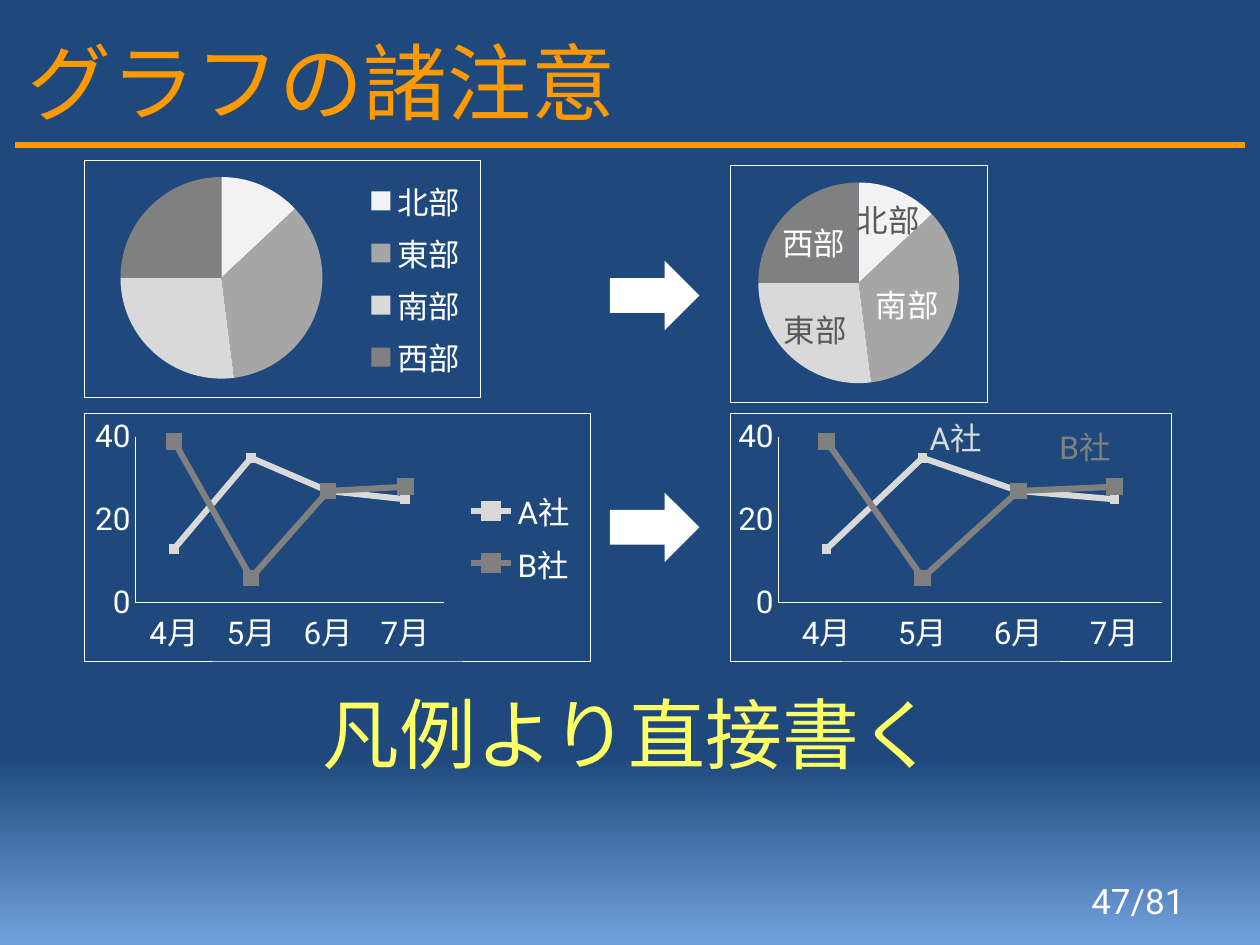
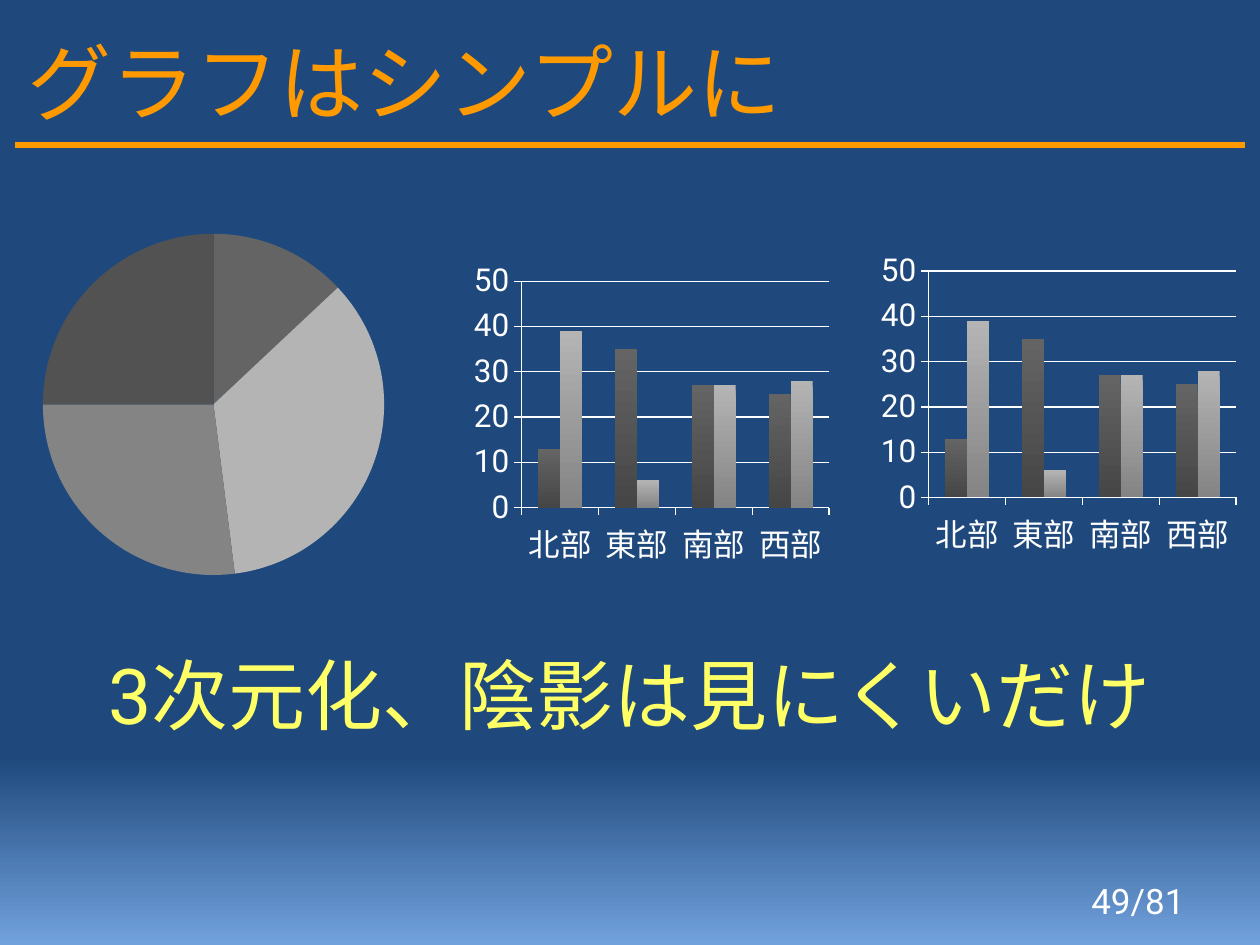
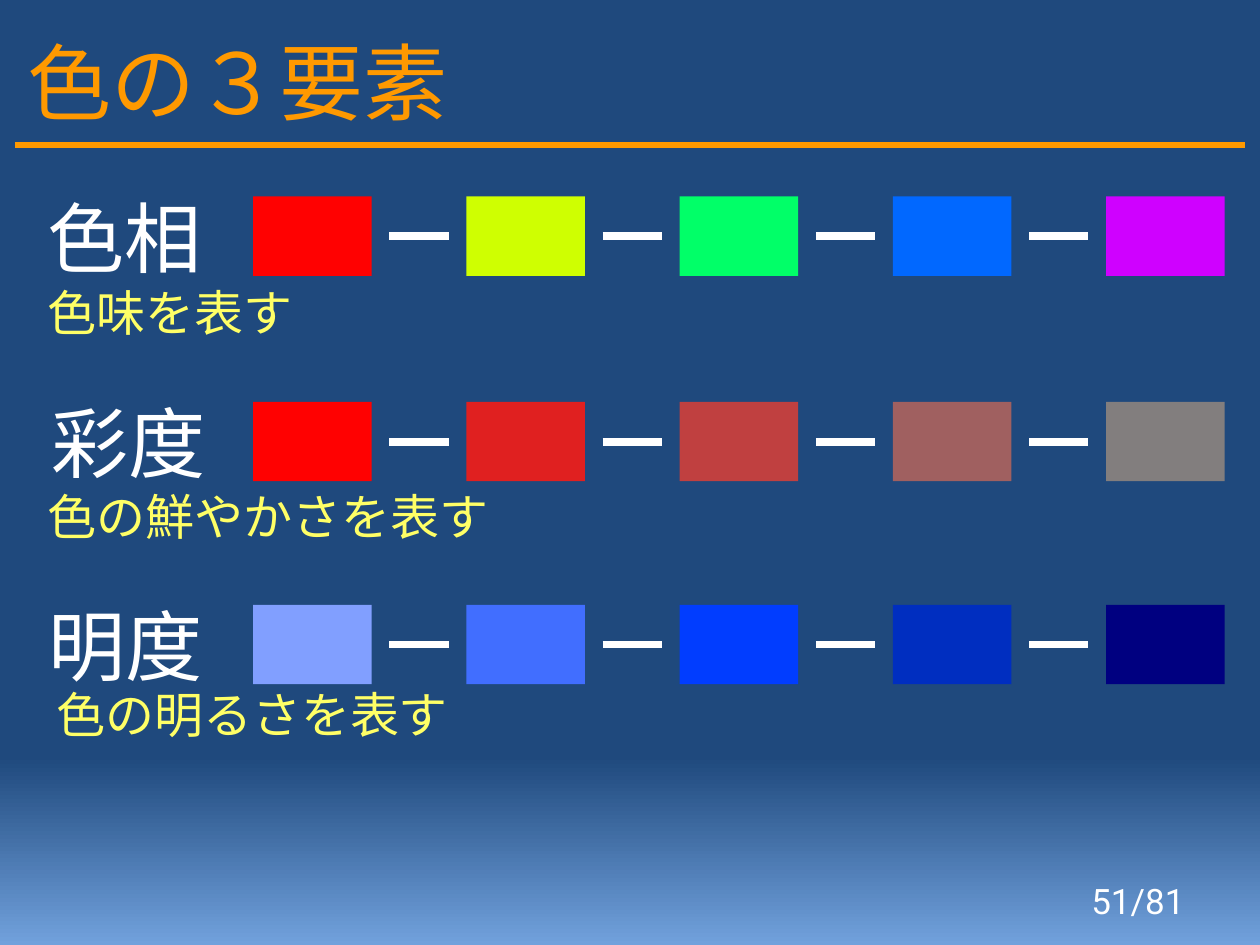
from dataclasses import dataclass
from typing import Optional

from pptx import Presentation
from pptx.chart.chart import Chart
from pptx.chart.data import CategoryChartData
from pptx.dml.color import RGBColor
from pptx.dml.fill import FillFormat
from pptx.enum.chart import XL_CHART_TYPE as ChartType
from pptx.enum.chart import XL_LEGEND_POSITION as LegendPosition
from pptx.enum.chart import XL_MARKER_STYLE as MarkerStyle
from pptx.enum.chart import XL_TICK_MARK as TickMark
from pptx.enum.shapes import MSO_CONNECTOR as Connector
from pptx.enum.shapes import MSO_SHAPE as ShapeType
from pptx.enum.text import MSO_ANCHOR as Anchor
from pptx.enum.text import PP_ALIGN as Align
from pptx.oxml import parse_xml
from pptx.oxml.ns import nsdecls, qn
from pptx.oxml.xmlchemy import OxmlElement
from pptx.slide import Slide
from pptx.util import Inches, Pt

# Shared style
WHITE = RGBColor(0xFF, 0xFF, 0xFF)
ORANGE = RGBColor(0xFF, 0x99, 0x00)
YELLOW = RGBColor(0xFF, 0xFF, 0x66)
NAVY = RGBColor(0x1F, 0x49, 0x7D)
SKY = RGBColor(0x71, 0xA1, 0xDC)
PALE = RGBColor(0xF2, 0xF2, 0xF2)
LIGHT_GREY = RGBColor(0xD9, 0xD9, 0xD9)
MID_GREY = RGBColor(0xA6, 0xA6, 0xA6)
GREY = RGBColor(0x80, 0x80, 0x80)
DARK_GREY = RGBColor(0x59, 0x59, 0x59)
PIE_GREYS = [PALE, MID_GREY, LIGHT_GREY, GREY]
SHADED_PIE_GREYS = [RGBColor(level, level, level) for level in (0x64, 0xB4, 0x84, 0x52)]
COLUMN_GRADIENTS = [
    (RGBColor(0x64, 0x64, 0x64), RGBColor(0x46, 0x46, 0x46)),
    (RGBColor(0xB4, 0xB4, 0xB4), RGBColor(0x84, 0x84, 0x84)),
]
TITLE_FONT = "Calibri"
BODY_FONT = "Roboto"
TOTAL_PAGES = 81
TITLE_ONLY_LAYOUT = 5

# Chart data
REGIONS = ["北部", "東部", "南部", "西部"]
NUMBERS = ["1", "2", "3", "4"]
MONTHS = ["4月", "5月", "6月", "7月"]
FIRST_VALUES = [13, 35, 27, 25]
SECOND_VALUES = [39, 6, 27, 28]


@dataclass
class Box:
    left: float
    top: float
    width: float
    height: float

    def lengths(self) -> list:
        return [Inches(v) for v in (self.left, self.top, self.width, self.height)]


@dataclass
class Label:
    text: str
    box: Box
    size: int
    color: RGBColor
    align: Align = Align.LEFT
    anchor: Anchor = Anchor.TOP


@dataclass
class ChartSpec:
    kind: ChartType
    box: Box
    plot: Box  # fractions of the chart area
    categories: list
    series: dict
    bordered: bool = False
    legend: bool = False


@dataclass
class SwatchRow:
    name: str
    name_left: float
    top: float
    colors: list
    note: str
    note_left: float
    note_top: float


# Basic elements
def add_label(shapes, label: Label) -> None:
    text_frame = shapes.add_textbox(*label.box.lengths()).text_frame
    text_frame.word_wrap = True
    text_frame.vertical_anchor = label.anchor
    text_frame.text = label.text
    paragraph = text_frame.paragraphs[0]
    paragraph.alignment = label.align
    font = paragraph.runs[0].font
    font.name, font.size = BODY_FONT, Pt(label.size)
    font.color.rgb = label.color


def add_shape(shapes, kind: ShapeType, box: Box, color: RGBColor) -> None:
    shape = shapes.add_shape(kind, *box.lengths())
    shape.shadow.inherit = False
    shape.fill.solid()
    shape.fill.fore_color.rgb = color
    shape.line.fill.background()


def add_rule(shapes, left: float, right: float, y: float,
             color: RGBColor, width: float) -> None:
    rule = shapes.add_connector(
        Connector.STRAIGHT, Inches(left), Inches(y), Inches(right), Inches(y))
    rule.line.color.rgb = color
    rule.line.width = Pt(width)
    rule.element.spPr.append(OxmlElement("a:effectLst"))


def fill_downwards(fill: FillFormat, top: RGBColor, bottom: RGBColor,
                   start: float = 0) -> None:
    fill.gradient()
    fill.gradient_angle = 270
    for stop, color, position in zip(fill.gradient_stops, (top, bottom), (start, 1)):
        stop.color.rgb = color
        stop.position = position


def add_titled_slide(presentation: Presentation, title: str, page: int) -> Slide:
    slide = presentation.slides.add_slide(presentation.slide_layouts[TITLE_ONLY_LAYOUT])
    add_rule(slide.shapes, 0.12, 9.88, 1.15, ORANGE, 3.5)
    shape = slide.shapes.title
    shape.left, shape.top, shape.width, shape.height = Box(0.12, 0.21, 9.38, 0.87).lengths()
    shape.text_frame.text = title
    shape.text_frame.vertical_anchor = Anchor.MIDDLE
    paragraph = shape.text_frame.paragraphs[0]
    paragraph.alignment = Align.LEFT
    font = paragraph.runs[0].font
    font.name, font.size = TITLE_FONT, Pt(48)
    font.color.rgb = ORANGE
    add_label(slide.shapes, Label(f"{page}/{TOTAL_PAGES}", Box(7.17, 6.95, 2.33, 0.4),
                                  20, WHITE, Align.RIGHT, Anchor.MIDDLE))
    return slide


def add_message(slide: Slide, text: str, box: Box) -> None:
    add_label(slide.shapes, Label(text, box, 44, YELLOW, Align.CENTER))


# Charts
def set_plot_layout(chart: Chart, plot: Box) -> None:
    plot_area = chart.element.find(qn("c:chart")).find(qn("c:plotArea"))
    for layout in plot_area.findall(qn("c:layout")):
        plot_area.remove(layout)
    plot_area.insert(0, parse_xml(
        f'<c:layout {nsdecls("c")}><c:manualLayout><c:layoutTarget val="inner"/>'
        '<c:xMode val="edge"/><c:yMode val="edge"/>'
        f'<c:x val="{plot.left}"/><c:y val="{plot.top}"/>'
        f'<c:w val="{plot.width}"/><c:h val="{plot.height}"/>'
        '</c:manualLayout></c:layout>'))


def set_frame(chart: Chart, bordered: bool) -> None:
    line = (f'<a:ln w="{Pt(0.5)}"><a:solidFill><a:srgbClr val="{WHITE}"/></a:solidFill></a:ln>'
            if bordered else '<a:ln><a:noFill/></a:ln>')
    chart.element.find(qn("c:chart")).addnext(parse_xml(
        f'<c:spPr {nsdecls("c", "a")}><a:noFill/>{line}</c:spPr>'))


def add_chart(slide: Slide, spec: ChartSpec) -> Chart:
    data = CategoryChartData()
    data.categories = spec.categories
    for name, values in spec.series.items():
        data.add_series(name, values)
    chart = slide.shapes.add_chart(spec.kind, *spec.box.lengths(), data).chart
    chart.has_title = False
    chart.font.name, chart.font.size = BODY_FONT, Pt(18)
    chart.font.color.rgb = WHITE
    chart.has_legend = spec.legend
    if spec.legend:
        chart.legend.position = LegendPosition.RIGHT
        chart.legend.include_in_layout = False
    set_plot_layout(chart, spec.plot)
    set_frame(chart, spec.bordered)
    return chart


def add_pie(slide: Slide, spec: ChartSpec, colors: list) -> None:
    series = add_chart(slide, spec).plots[0].series[0]
    for index, color in enumerate(colors):
        point = series.points[index].format
        point.fill.solid()
        point.fill.fore_color.rgb = color
        point.line.fill.background()


def style_axes(chart: Chart, maximum: int, step: int, tick: TickMark, grid: bool) -> None:
    for axis in (chart.category_axis, chart.value_axis):
        axis.major_tick_mark = tick
        axis.minor_tick_mark = TickMark.NONE
        axis.format.line.color.rgb = WHITE
        axis.format.line.width = Pt(0.75)
    values = chart.value_axis
    values.minimum_scale, values.maximum_scale, values.major_unit = 0, maximum, step
    values.has_major_gridlines = grid
    if grid:
        values.major_gridlines.format.line.color.rgb = WHITE
        values.major_gridlines.format.line.width = Pt(0.75)


def add_line_chart(slide: Slide, spec: ChartSpec) -> None:
    chart = add_chart(slide, spec)
    style_axes(chart, 40, 20, TickMark.NONE, False)
    chart.plots[0].vary_by_categories = False
    for series, color, size in zip(chart.plots[0].series, (LIGHT_GREY, GREY), (5, 9)):
        series.smooth = False
        series.format.line.color.rgb = color
        series.format.line.width = Pt(3.5)
        series.marker.style, series.marker.size = MarkerStyle.SQUARE, size
        series.marker.format.fill.solid()
        series.marker.format.fill.fore_color.rgb = color
        series.marker.format.line.color.rgb = color


def add_column_chart(slide: Slide, spec: ChartSpec) -> None:
    chart = add_chart(slide, spec)
    style_axes(chart, 50, 10, TickMark.OUTSIDE, True)
    plot = chart.plots[0]
    plot.gap_width, plot.overlap, plot.vary_by_categories = 150, 0, False
    for series, (top, bottom) in zip(plot.series, COLUMN_GRADIENTS):
        fill_downwards(series.format.fill, top, bottom)


# Slides
def build_legend_slide(presentation: Presentation) -> None:
    slide = add_titled_slide(presentation, "グラフの諸注意", 47)
    shares = {"Series 1": FIRST_VALUES}
    add_pie(slide, ChartSpec(ChartType.PIE, Box(0.67, 1.27, 3.15, 1.89),
                             Box(0.09, 0.07, 0.51, 0.85), REGIONS, shares,
                             bordered=True, legend=True), PIE_GREYS)
    add_pie(slide, ChartSpec(ChartType.PIE, Box(5.79, 1.31, 2.05, 1.89),
                             Box(0.11, 0.07, 0.78, 0.85), NUMBERS, shares,
                             bordered=True), PIE_GREYS)
    add_line_chart(slide, ChartSpec(
        ChartType.LINE_MARKERS, Box(0.67, 3.28, 4.02, 1.97), Box(0.1, 0.095, 0.61, 0.67),
        MONTHS, {"A社": FIRST_VALUES, "B社": SECOND_VALUES}, bordered=True, legend=True))
    add_line_chart(slide, ChartSpec(
        ChartType.LINE_MARKERS, Box(5.79, 3.28, 3.51, 1.97), Box(0.11, 0.095, 0.87, 0.67),
        MONTHS, {"Series 1": FIRST_VALUES, "Series 2": SECOND_VALUES}, bordered=True))

    # Names written directly on the charts
    for label in (
        Label("北部", Box(6.66, 1.55, 0.78, 0.4), 18, DARK_GREY, Align.CENTER),
        Label("南部", Box(6.78, 2.22, 0.84, 0.4), 18, WHITE, Align.CENTER),
        Label("東部", Box(6.04, 2.42, 0.86, 0.4), 18, DARK_GREY, Align.CENTER),
        Label("西部", Box(6.08, 1.73, 0.76, 0.4), 18, WHITE, Align.CENTER),
        Label("B社", Box(8.31, 3.35, 1.25, 0.4), 18, GREY),
        Label("A社", Box(7.28, 3.28, 1.25, 0.4), 18, LIGHT_GREY),
    ):
        add_label(slide.shapes, label)
    for top in (2.07, 3.91):
        add_shape(slide.shapes, ShapeType.RIGHT_ARROW, Box(4.84, top, 0.71, 0.55), WHITE)
    add_message(slide, "凡例より直接書く", Box(1.75, 5.4, 6.5, 0.87))


def build_simple_chart_slide(presentation: Presentation) -> None:
    slide = add_titled_slide(presentation, "グラフはシンプルに", 49)
    add_pie(slide, ChartSpec(ChartType.PIE, Box(0.12, 1.7, 3.15, 2.99),
                             Box(0.07, 0.05, 0.86, 0.91), NUMBERS,
                             {"Series 1": FIRST_VALUES}), SHADED_PIE_GREYS)
    for left, top in ((6.42, 1.47), (3.19, 1.55)):
        add_column_chart(slide, ChartSpec(
            ChartType.COLUMN_CLUSTERED, Box(left, top, 4.08, 3.31),
            Box(0.233, 0.206, 0.598, 0.543), REGIONS,
            {"Series 1": FIRST_VALUES, "Series 2": SECOND_VALUES}))
    add_message(slide, "3次元化、陰影は見にくいだけ", Box(0.06, 5.09, 9.88, 0.87))


SWATCH_LEFT, SWATCH_PITCH = 2.01, 1.6925
SWATCH_WIDTH, SWATCH_HEIGHT = 0.94, 0.63
DASH_GAP, DASH_LENGTH = 0.14, 0.47
SWATCH_ROWS = [
    SwatchRow("色相", 0.28, 1.56, ["FF0101", "CFFF01", "01FF68", "0168FF", "CF01FF"],
              "色味を表す", 0.28, 2.19),
    SwatchRow("彩度", 0.31, 3.19, ["FF0101", "E02020", "C04040", "A06060", "827E7E"],
              "色の鮮やかさを表す", 0.28, 3.81),
    SwatchRow("明度", 0.29, 4.8, ["819FFF", "416EFF", "013DFF", "002EC0", "000080"],
              "色の明るさを表す", 0.35, 5.38),
]


def add_swatch_row(slide: Slide, row: SwatchRow) -> None:
    shapes = slide.shapes.add_group_shape().shapes
    add_label(shapes, Label(row.name, Box(row.name_left, row.top - 0.1, 1.56, 0.84), 44, WHITE))
    for index, color in enumerate(row.colors):
        left = SWATCH_LEFT + index * SWATCH_PITCH
        add_shape(shapes, ShapeType.RECTANGLE,
                  Box(left, row.top, SWATCH_WIDTH, SWATCH_HEIGHT), RGBColor.from_string(color))
        if index < len(row.colors) - 1:
            dash_left = left + SWATCH_WIDTH + DASH_GAP
            add_rule(shapes, dash_left, dash_left + DASH_LENGTH,
                     row.top + SWATCH_HEIGHT / 2, WHITE, 4.5)
    add_label(slide.shapes, Label(row.note, Box(row.note_left, row.note_top, 4.25, 0.57),
                                  28, YELLOW))


def build_color_slide(presentation: Presentation) -> None:
    slide = add_titled_slide(presentation, "色の３要素", 51)
    for row in SWATCH_ROWS:
        add_swatch_row(slide, row)


def main() -> None:
    presentation = Presentation()
    presentation.slide_width, presentation.slide_height = Inches(10), Inches(7.5)
    fill_downwards(presentation.slide_master.background.fill, NAVY, SKY, start=0.8)
    build_legend_slide(presentation)
    build_simple_chart_slide(presentation)
    build_color_slide(presentation)
    presentation.save("out.pptx")


if __name__ == "__main__":
    main()
